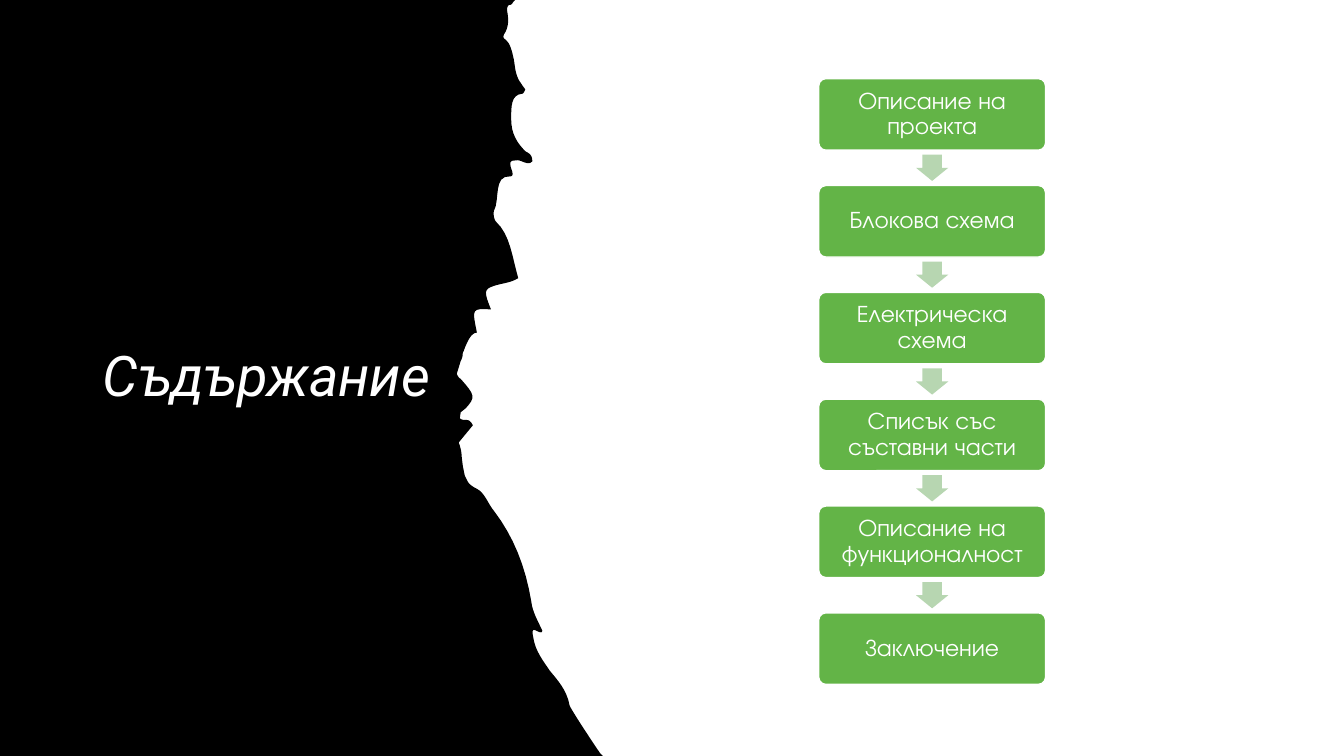
"""Build a contents slide with a torn black panel and a vertical flow of topics."""
from pptx import Presentation
from pptx import util as u
from pptx.dml import color
from pptx.enum import shapes, text

COLOURS = {"black": "000000", "white": "FFFFFF", "green": "63B447", "pale_green": "B7D6B1"}
SLIDE_WIDTH, SLIDE_HEIGHT = 13.33, 7.5
TITLE_FONT, TOPIC_FONT = "Roboto", "TeX Gyre Adventor"
TOPICS = [
    "Описание на проекта",
    "Блокова схема",
    "Електрическа схема",
    "Списък със съставни части",
    "Описание на функционалност",
    "Заключение",
]
BOX_LEFT, BOX_TOP, BOX_WIDTH, BOX_HEIGHT, BOX_PITCH = 8.12, 0.78, 2.25, 0.71, 1.06
ARROW_WIDTH, ARROW_HEIGHT = 0.32, 0.26
CURVE_STEPS = 8
EDGE_START = (5.11, 0)
UPPER_EDGE = [
    [(5.09, 0.02)],
    [(5.08, 0.04), (5.07, 0.05), (5.05, 0.05)], [(5.03, 0.06), (5.03, 0.08), (5.03, 0.11)],
    [(5.05, 0.21), (5.04, 0.28), (5, 0.34)], [(4.99, 0.36), (4.99, 0.38), (5.01, 0.39)],
    [(5.03, 0.41), (5.05, 0.43), (5.06, 0.46)], [(5.08, 0.51), (5.09, 0.56), (5.1, 0.61)],
    [(5.11, 0.69), (5.12, 0.77), (5.17, 0.83)], [(5.18, 0.85), (5.2, 0.87), (5.21, 0.89)],
    [(5.2, 0.91), (5.19, 0.93), (5.18, 0.93)], [(5.07, 0.94), (5.07, 1.05), (5.07, 1.18)],
    [(5.07, 1.33), (5.13, 1.42), (5.21, 1.5)], [(5.24, 1.52), (5.28, 1.53), (5.28, 1.6)],
    [(5.24, 1.65), (5.18, 1.59), (5.13, 1.59)], [(5.09, 1.6), (5.03, 1.57), (5.08, 1.7)],
    [(5.09, 1.74), (5.08, 1.75), (5.06, 1.75)], [(4.89, 1.74), (4.96, 1.98), (4.9, 2.09)],
    [(4.89, 2.12), (4.9, 2.18), (4.92, 2.2)], [(5.06, 2.33), (5.08, 2.55), (5.14, 2.76)],
]
MIDDLE_EDGE = [
    [(5.06, 2.81), (4.97, 2.81), (4.89, 2.84)], [(4.8, 2.87), (4.8, 2.9), (4.87, 3.07)],
    [(4.68, 3.06), (4.68, 3.06), (4.73, 3.3)], [(4.68, 3.3), (4.64, 3.37), (4.6, 3.48)],
    [(4.59, 3.5)], [(4.59, 3.54), (4.58, 3.56), (4.57, 3.58)], [(4.53, 3.71)],
    [(4.54, 3.73), (4.55, 3.75), (4.57, 3.76)], [(4.71, 3.92), (4.72, 3.94), (4.62, 4.05)],
    [(4.57, 4.09)], [(4.56, 4.15)],
    [(4.6, 4.19), (4.65, 4.13), (4.69, 4.22)], [(4.55, 4.39)],
]
LOWER_EDGE = [
    [(4.56, 4.42)], [(4.57, 4.45), (4.58, 4.5), (4.58, 4.54)],
    [(4.59, 4.62)], [(4.61, 4.72)], [(4.64, 4.78)],
    [(4.66, 4.81), (4.69, 4.83), (4.73, 4.85)], [(4.81, 4.89), (4.84, 5), (4.9, 5.07)],
    [(5.09, 5.32), (5.21, 5.61), (5.27, 5.97)], [(5.28, 6.07), (5.34, 6.17), (5.38, 6.26)],
    [(5.36, 6.32), (5.25, 6.16), (5.29, 6.33)], [(5.31, 6.46), (5.39, 6.56), (5.45, 6.65)],
    [(5.53, 6.75), (5.62, 6.84), (5.65, 7)], [(5.65, 7.01), (5.76, 7.19), (5.95, 7.47)],
    [(5.98, SLIDE_HEIGHT)],
]


def rgb(name):
    """Return the named colour."""
    return color.RGBColor.from_string(COLOURS[name])


def style_shape(shape, fill, line=None):
    """Give a shape a flat fill and an optional thin outline."""
    shape.shadow.inherit = False
    shape.fill.solid()
    shape.fill.fore_color.rgb = rgb(fill)
    if line:
        shape.line.color.rgb = rgb(line)
        shape.line.width = u.Pt(1)
    else:
        shape.line.fill.background()


def write_text(shape, words, *, size, font, align, italic=False, inset=0.1):
    """Write one white, vertically centred paragraph into a shape."""
    frame = shape.text_frame
    frame.word_wrap = True
    frame.auto_size = text.MSO_AUTO_SIZE.NONE
    frame.vertical_anchor = text.MSO_ANCHOR.MIDDLE
    frame.margin_left = frame.margin_right = u.Inches(inset)
    frame.margin_top = frame.margin_bottom = u.Inches(inset)
    paragraph = frame.paragraphs[0]
    paragraph.alignment = align
    paragraph.line_spacing = 0.9
    run = paragraph.add_run()
    run.text = words
    run.font.size = u.Pt(size)
    run.font.name = font
    run.font.italic = italic
    run.font.color.rgb = rgb("white")


def add_preset(slide, preset, left, top, width, height, adjustments):
    """Add a preset shape placed in inches, with its adjustments."""
    shape = slide.shapes.add_shape(
        preset, u.Inches(left), u.Inches(top), u.Inches(width), u.Inches(height))
    for index, value in enumerate(adjustments):
        shape.adjustments[index] = value
    return shape


def curve_point(start, first_control, second_control, end, t):
    """Return the point at fraction t of a cubic curve."""
    return tuple(
        (1 - t) ** 3 * a + 3 * t * (1 - t) ** 2 * b + 3 * t ** 2 * (1 - t) * c + t ** 3 * d
        for a, b, c, d in zip(start, first_control, second_control, end))


def trace_edge(start, segments):
    """Follow one-point lines and three-point curves, and return the points passed."""
    points = [start]
    for segment in segments:
        if len(segment) == 1:
            points += segment
        else:
            origin = points[-1]
            points += [curve_point(origin, *segment, step / CURVE_STEPS)
                       for step in range(1, CURVE_STEPS + 1)]
    return points


def add_torn_panel(slide):
    """Add the black panel with its torn right edge."""
    edge = trace_edge(EDGE_START, UPPER_EDGE + MIDDLE_EDGE + LOWER_EDGE)
    outline = edge + [(0, SLIDE_HEIGHT)]
    builder = slide.shapes.build_freeform(0, 0)
    builder.add_line_segments([(u.Inches(x), u.Inches(y)) for x, y in outline], close=True)
    panel = builder.convert_to_shape()
    style_shape(panel, "black")
    return panel


def add_title(slide, words):
    """Place and format the title."""
    title = slide.shapes.title
    title.left, title.top = u.Inches(0.92), u.Inches(0.78)
    title.width, title.height = u.Inches(3.5), u.Inches(5.94)
    write_text(title, words, size=40, font=TITLE_FONT, align=text.PP_ALIGN.LEFT, italic=True)
    return title


def add_topic(slide, words, top):
    """Add one topic box."""
    box = add_preset(slide, shapes.MSO_SHAPE.ROUNDED_RECTANGLE,
                     BOX_LEFT, top, BOX_WIDTH, BOX_HEIGHT, adjustments=[0.1])
    style_shape(box, "green", line="white")
    write_text(box, words, size=17, font=TOPIC_FONT, align=text.PP_ALIGN.CENTER, inset=0.09)


def add_down_arrow(slide, box_top):
    """Add the arrow centred in the gap below a topic box."""
    left = BOX_LEFT + (BOX_WIDTH - ARROW_WIDTH) / 2
    top = box_top + (BOX_HEIGHT + BOX_PITCH - ARROW_HEIGHT) / 2
    arrow = add_preset(slide, shapes.MSO_SHAPE.DOWN_ARROW,
                       left, top, ARROW_WIDTH, ARROW_HEIGHT, adjustments=[0.6, 0.5])
    style_shape(arrow, "pale_green")


def add_topic_flow(slide, topics):
    """Stack the topic boxes, with an arrow between neighbours."""
    for index, topic in enumerate(topics):
        top = BOX_TOP + index * BOX_PITCH
        add_topic(slide, topic, top)
        if index < len(topics) - 1:
            add_down_arrow(slide, top)


def main():
    """Assemble and save the slide."""
    presentation = Presentation()
    presentation.slide_width = u.Inches(SLIDE_WIDTH)
    presentation.slide_height = u.Inches(SLIDE_HEIGHT)
    slide = presentation.slides.add_slide(presentation.slide_layouts.get_by_name("Title Only"))
    slide.background.fill.solid()
    slide.background.fill.fore_color.rgb = rgb("white")
    panel = add_torn_panel(slide)
    title = add_title(slide, "Съдържание")
    title.element.addprevious(panel.element)
    add_topic_flow(slide, TOPICS)
    presentation.save("out.pptx")


if __name__ == "__main__":
    main()
